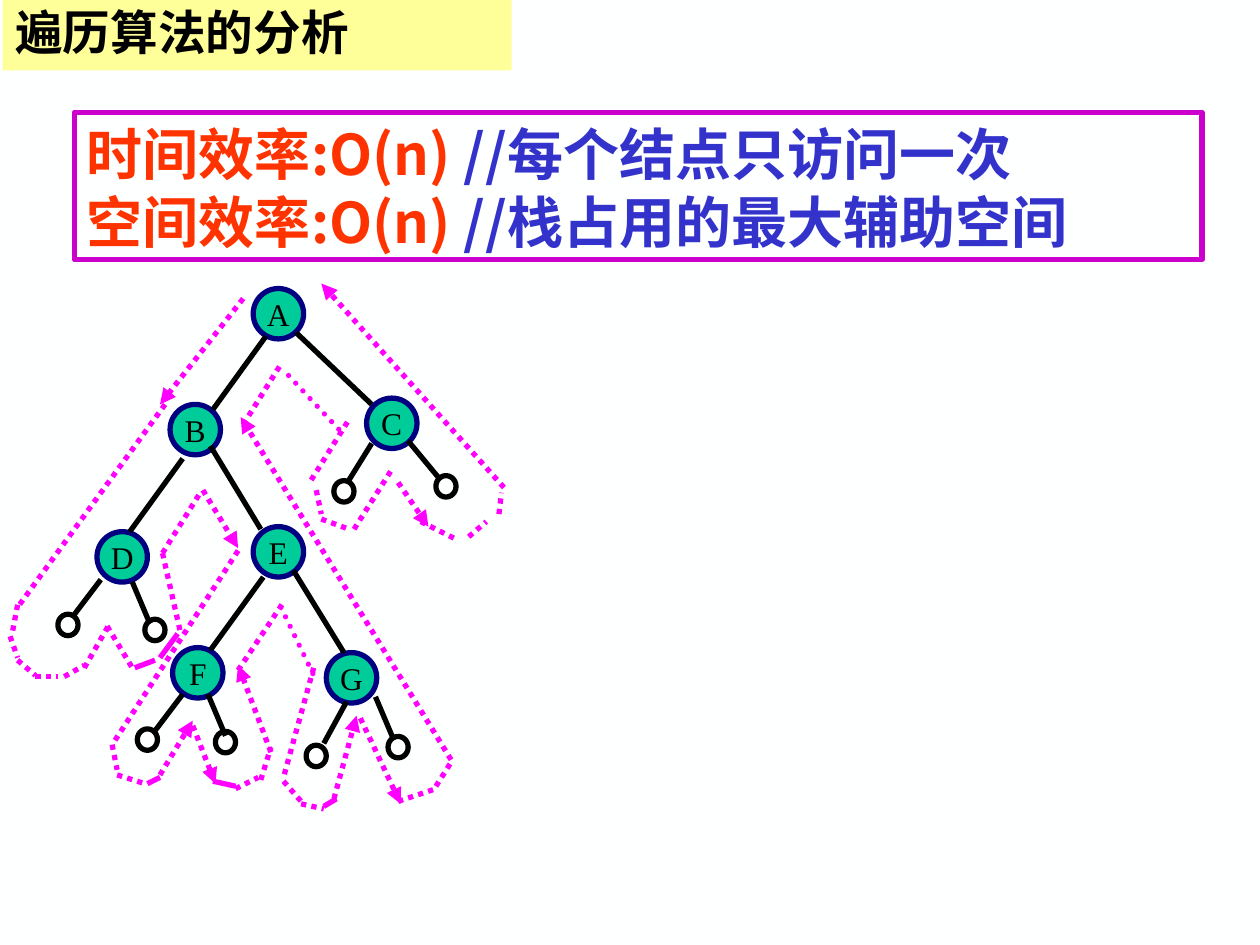
from lxml.etree import SubElement
from pptx import Presentation
from pptx.dml.color import RGBColor
from pptx.enum.dml import MSO_LINE
from pptx.enum.shapes import MSO_CONNECTOR, MSO_SHAPE
from pptx.enum.text import MSO_ANCHOR, MSO_AUTO_SIZE, PP_ALIGN
from pptx.oxml.ns import qn
from pptx.util import Inches, Pt

# Content
TITLE = "遍历算法的分析"
EFFICIENCY = [
    ("时间效率:O(n) ", "//每个结点只访问一次"),
    ("空间效率:O(n) ", "//栈占用的最大辅助空间"),
]
# Centres of the lettered nodes and of the empty subtrees
NODES = {
    "A": (2.21, 2.49), "F": (1.57, 5.34), "E": (2.21, 4.38), "D": (0.97, 4.42),
    "C": (3.11, 3.36), "B": (1.55, 3.41), "G": (2.79, 5.38),
}
EMPTY_SUBTREES = [
    (0.54, 4.96), (1.23, 5.0), (1.17, 5.87), (1.79, 5.89),
    (2.51, 6.0), (3.16, 5.93), (3.54, 3.86), (2.73, 3.9),
]
# Segments: x and y of the start, x and y of the end
BRANCHES = [
    (2.11, 2.67, 1.69, 3.25), (2.35, 2.64, 2.95, 3.21),
    (1.45, 3.64, 1.03, 4.22), (1.67, 3.54, 2.07, 4.2),
    (2.95, 3.52, 2.77, 3.81), (3.24, 3.5, 3.48, 3.79),
    (0.8, 4.6, 0.58, 4.89), (1.05, 4.62, 1.19, 4.95),
    (2.09, 4.58, 1.67, 5.16), (2.33, 4.53, 2.73, 5.18),
    (1.45, 5.51, 1.23, 5.8), (1.65, 5.51, 1.79, 5.84),
    (2.75, 5.57, 2.57, 5.9), (2.98, 5.53, 3.12, 5.86),
]
WALK_ARROWS = [
    (1.93, 2.37, 1.27, 3.21), (1.61, 3.89, 1.89, 4.35),
    (1.27, 6.15, 1.53, 5.72), (1.53, 5.76, 1.71, 6.22),
    (2.15, 5.97, 1.89, 5.28), (2.65, 6.34, 2.83, 5.68),
    (2.86, 5.7, 3.18, 6.38), (3.58, 6.03, 1.91, 3.31),
    (3.16, 3.83, 3.4, 4.18), (4, 3.87, 2.55, 2.25),
]
WALK_DOTTED = [
    # around D
    (1.31, 3.21, 0.14, 4.82), (0.14, 4.8, 0.1, 5.01), (0.08, 5.05, 0.14, 5.22),
    (0.14, 5.24, 0.28, 5.36), (0.28, 5.37, 0.46, 5.37), (0.51, 5.37, 0.67, 5.28),
    (0.67, 5.3, 0.87, 4.95), (0.85, 4.97, 1.05, 5.3),
    (1.29, 4.39, 1.43, 5.01), (1.29, 4.39, 1.59, 3.91),
    # around F
    (1.89, 4.37, 0.91, 5.88), (0.89, 5.91, 0.93, 6.11), (0.93, 6.15, 1.15, 6.22),
    (1.87, 6.26, 2.05, 6.17), (2.07, 6.19, 2.15, 5.93), (1.89, 5.32, 2.25, 4.78),
    # around G
    (2.49, 5.3, 2.25, 6.17), (2.25, 6.2, 2.39, 6.36), (2.39, 6.38, 2.57, 6.42),
    (3.16, 6.36, 3.46, 6.26), (3.46, 6.24, 3.58, 6.05),
    # around C
    (1.93, 3.37, 2.23, 2.89), (2.47, 3.81, 2.77, 3.33), (2.51, 3.89, 2.55, 4.08),
    (2.55, 4.12, 2.77, 4.2), (2.81, 4.2, 3.12, 3.71), (3.34, 4.14, 3.62, 4.28),
    (3.72, 4.26, 3.86, 4.14), (3.96, 4.08, 3.98, 3.91),
]
WALK_ROUND_DOTS = [(2.23, 4.82, 2.49, 5.36), (2.29, 2.98, 2.71, 3.43)]
WALK_SOLID = [
    (1.07, 5.3, 1.23, 5.24), (1.27, 5.22, 1.41, 5.03), (1.17, 6.22, 1.27, 6.17),
    (1.69, 6.2, 1.87, 6.24), (2.57, 6.4, 2.67, 6.34),
]

SANS, SERIF = "Noto Sans CJK SC", "Times New Roman"
BLACK, WALK = "000000", "FF00FF"
STROKE = Pt(3)


def paint(color_format, hex_color):
    """Colour a fill, or the fill of a line."""
    color_format.solid()
    color_format.fore_color.rgb = RGBColor.from_string(hex_color)


def write(paragraph, text, *, size, color, font=SANS, bold=False):
    run = paragraph.add_run()
    run.text = text
    run.font.size = Pt(size)
    run.font.bold = bold
    run.font.name = font
    paint(run.font.fill, color)
    SubElement(run.font._element, qn("a:ea")).set("typeface", font)


def place(shape, left, top, width, height):
    shape.left, shape.top = Inches(left), Inches(top)
    shape.width, shape.height = Inches(width), Inches(height)


def add_circle(center, width, height, line, fill=None):
    x, y = center
    circle = slide.shapes.add_shape(
        MSO_SHAPE.OVAL, Inches(x - width / 2), Inches(y - height / 2),
        Inches(width), Inches(height))
    circle.shadow.inherit = False
    paint(circle.line.fill, line)
    circle.line.width = STROKE
    if fill:
        paint(circle.fill, fill)
    else:
        circle.fill.background()
    return circle


def add_segments(segments, color, dotted=False, arrow=False, round_cap=False):
    for segment in segments:
        connector = slide.shapes.add_connector(
            MSO_CONNECTOR.STRAIGHT, *(Inches(value) for value in segment))
        paint(connector.line.fill, color)
        connector.line.width = STROKE
        if dotted:
            connector.line.dash_style = MSO_LINE.ROUND_DOT
        properties = connector._element.spPr
        outline = properties.find(qn("a:ln"))
        if round_cap:
            outline.set("cap", "rnd")
        if arrow:
            SubElement(outline, qn("a:tailEnd")).set("type", "triangle")
        SubElement(properties, qn("a:effectLst"))


presentation = Presentation()
presentation.slide_width, presentation.slide_height = Inches(10), Inches(7.5)
slide = presentation.slides.add_slide(presentation.slide_layouts[1])
paint(slide.background.fill, "FEFFFF")

# Title band
title = slide.shapes.title
place(title, 0.02, 0, 4.04, 0.56)
paint(title.fill, "FFFF99")
title.text_frame.auto_size = MSO_AUTO_SIZE.NONE
title.text_frame.vertical_anchor = MSO_ANCHOR.MIDDLE
heading = title.text_frame.paragraphs[0]
heading.alignment = PP_ALIGN.LEFT
heading.line_spacing = 0.9
write(heading, TITLE, size=27.2, color=BLACK, bold=True)

# Efficiency box
efficiency = slide.placeholders[1]
place(efficiency, 0.59, 0.89, 8.95, 1.17)
paint(efficiency.line.fill, "CC00CC")
efficiency.line.width = STROKE
frame = efficiency.text_frame
frame.auto_size = MSO_AUTO_SIZE.NONE
for index, (measure, remark) in enumerate(EFFICIENCY):
    row = frame.add_paragraph() if index else frame.paragraphs[0]
    row_format = row._p.get_or_add_pPr()
    row_format.set("marL", "0")
    row_format.set("indent", "0")
    SubElement(row_format, qn("a:buNone"))
    row.space_before = Pt(0)
    row.line_spacing = Pt(39)
    write(row, measure, size=32, color="FF3300", bold=True)
    write(row, remark, size=32, color="3333CC", bold=True)

# Tree
for letter, center in NODES.items():
    node = add_circle(center, 0.4, 0.4, "000080", fill="00CC99")
    node.text_frame.word_wrap = False
    node.text_frame.vertical_anchor = MSO_ANCHOR.MIDDLE
    label = node.text_frame.paragraphs[0]
    label.alignment = PP_ALIGN.CENTER
    write(label, letter, size=18, color=BLACK, font=SERIF)
for center in EMPTY_SUBTREES:
    add_circle(center, 0.16, 0.17, BLACK)
add_segments(BRANCHES, BLACK)

# Traversal route
add_segments(WALK_SOLID, WALK)
add_segments(WALK_DOTTED, WALK, dotted=True)
add_segments(WALK_ROUND_DOTS, WALK, dotted=True, round_cap=True)
add_segments(WALK_ARROWS, WALK, dotted=True, arrow=True)

presentation.save("out.pptx")
